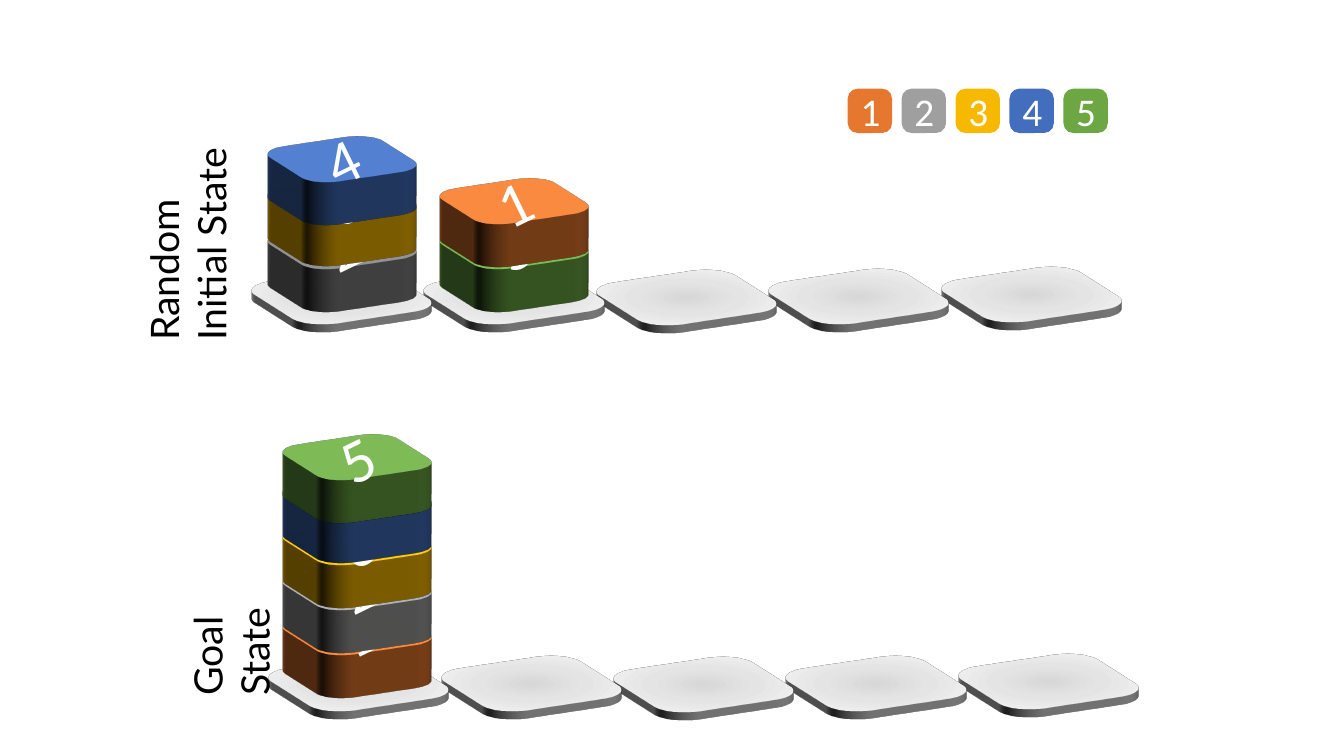
"""Build a slide showing the initial and goal states of a block-stacking puzzle."""
import dataclasses
import typing

import pptx
import pptx.dml.color
import pptx.enum.shapes
import pptx.enum.text
import pptx.oxml
import pptx.oxml.ns
import pptx.util


@dataclasses.dataclass(frozen=True)
class Theme:
    orange: str = "E5782E"
    silver: str = "9F9F9F"
    gray: str = "808080"
    yellow: str = "F7B900"
    blue: str = "426EBD"
    green: str = "6CA744"
    digit: str = "FFFFFF"
    label: str = "000000"
    tile_stops: tuple[str, ...] = ("D8D8D8", "E5E5E5", "F2F2F2")
    digit_font: str = "Calibri"
    label_font: str = "Lato"
    block_size: int = 44
    text_size: int = 28
    block_depth: int = 32
    tile_depth: int = 6


@dataclasses.dataclass(frozen=True)
class Block:
    digit: str
    color: str
    column: float
    row: float


@dataclasses.dataclass(frozen=True)
class Label:
    text: str
    column: float
    row: float
    columns: float
    rows: float


THEME = Theme()
GRID = pptx.util.Inches(0.1)
COLUMNS, ROWS = 133.33, 75
CORNER = 0.223
TILE_SIDE, TILE_STEP = 15, 17.1
TILE_DROPS = (0, 0, 0.1, 0, -0.2)
BLOCK_SIDE = 12.4
KEY_SIDE, KEY_STEP, KEY_COLUMN, KEY_ROW = 4.4, 5.35, 84.1, 8.8

KEY_COLORS = (THEME.orange, THEME.silver, THEME.yellow, THEME.blue, THEME.green)
KEY_BLOCKS = [
    Block(str(index + 1), color, KEY_COLUMN + index * KEY_STEP, KEY_ROW)
    for index, color in enumerate(KEY_COLORS)
]
INITIAL_BLOCKS = [
    Block("2", THEME.gray, 27.7, 18.2),
    Block("5", THEME.green, 44.8, 18.2),
    Block("3", THEME.yellow, 27.7, 13.7),
    Block("1", THEME.orange, 44.8, 13.8),
    Block("4", THEME.blue, 27.7, 9.6),
]
GOAL_ROWS = (56.5, 52.1, 47.6, 43.1, 39.2)
GOAL_BLOCKS = [
    Block(key.digit, key.color, 29.2, row) for key, row in zip(KEY_BLOCKS, GOAL_ROWS)
]
LABELS = [
    Label("Random\nInitial State", 7.6, 18.6, 22, 10.4),
    Label("Goal\vState", 10.9, 57.5, 19.3, 5.7),
]


def cells(count: float) -> int:
    return round(count * GRID)


def apply_format(target: typing.Any, values: dict[str, typing.Any]) -> None:
    for name, value in values.items():
        setattr(target, name, value)


def format_font(font: typing.Any, name: str, size: int, color: str) -> None:
    apply_format(font, {"name": name, "size": pptx.util.Pt(size)})
    font.color.rgb = pptx.dml.color.RGBColor.from_string(color)


def add_square(shapes: typing.Any, column: float, row: float, side: float) -> typing.Any:
    shape = shapes.add_shape(
        pptx.enum.shapes.MSO_SHAPE.ROUNDED_RECTANGLE,
        cells(column), cells(row), cells(side), cells(side),
    )
    shape.adjustments[0] = CORNER
    shape.line.fill.background()
    shape.shadow.inherit = False
    return shape


def extrude(shape: typing.Any, depth: int) -> None:
    namespace = pptx.oxml.ns.nsdecls("a")
    properties = shape._element.spPr
    properties.append(pptx.oxml.parse_xml(
        f'<a:scene3d {namespace}><a:camera prst="isometricOffAxis1Top"/>'
        '<a:lightRig rig="threePt" dir="t"/></a:scene3d>'
    ))
    properties.append(pptx.oxml.parse_xml(
        f'<a:sp3d {namespace} extrusionH="{pptx.util.Pt(depth)}"/>'
    ))


def add_tile(shapes: typing.Any, column: float, row: float) -> None:
    shape = add_square(shapes, column, row, TILE_SIDE)
    stops = "".join(
        f'<a:gs pos="{index * 50000}"><a:srgbClr val="{color}"/></a:gs>'
        for index, color in enumerate(THEME.tile_stops)
    )
    gradient = pptx.oxml.parse_xml(
        f'<a:gradFill {pptx.oxml.ns.nsdecls("a")} rotWithShape="1"><a:gsLst>{stops}</a:gsLst>'
        '<a:path path="circle"><a:fillToRect l="50000" t="50000" r="50000" b="50000"/>'
        "</a:path></a:gradFill>"
    )
    shape._element.spPr.find(pptx.oxml.ns.qn("a:prstGeom")).addnext(gradient)
    extrude(shape, THEME.tile_depth)


def add_tile_row(shapes: typing.Any, column: float, row: float) -> None:
    for index, drop in reversed(list(enumerate(TILE_DROPS))):
        add_tile(shapes, column + index * TILE_STEP, row + drop)


def add_block(shapes: typing.Any, block: Block, side: float, size: int) -> typing.Any:
    shape = add_square(shapes, block.column, block.row, side)
    shape.fill.solid()
    shape.fill.fore_color.rgb = pptx.dml.color.RGBColor.from_string(block.color)
    shape.text_frame.text = block.digit
    shape.text_frame.vertical_anchor = pptx.enum.text.MSO_ANCHOR.MIDDLE
    paragraph = shape.text_frame.paragraphs[0]
    paragraph.alignment = pptx.enum.text.PP_ALIGN.CENTER
    format_font(paragraph.runs[0].font, THEME.digit_font, size, THEME.digit)
    return shape


def add_stack(shapes: typing.Any, blocks: list[Block]) -> None:
    for block in blocks:
        extrude(add_block(shapes, block, BLOCK_SIDE, THEME.block_size), THEME.block_depth)


def add_label(shapes: typing.Any, label: Label) -> None:
    shape = shapes.add_textbox(
        cells(label.column), cells(label.row), cells(label.columns), cells(label.rows)
    )
    shape.rotation = 270
    apply_format(shape.text_frame, {"text": label.text, "word_wrap": True})
    for paragraph in shape.text_frame.paragraphs:
        for run in paragraph.runs:
            format_font(run.font, THEME.label_font, THEME.text_size, THEME.label)


def main() -> None:
    presentation = pptx.Presentation()
    apply_format(presentation, {"slide_width": cells(COLUMNS), "slide_height": cells(ROWS)})
    slide = presentation.slides.add_slide(presentation.slide_layouts[6])
    add_tile_row(slide.shapes, 26.4, 21.9)
    add_stack(slide.shapes, INITIAL_BLOCKS)
    key_group = slide.shapes.add_group_shape()
    for block in KEY_BLOCKS:
        add_block(key_group.shapes, block, KEY_SIDE, THEME.text_size)
    add_tile_row(slide.shapes, 28.1, 60.3)
    add_stack(slide.shapes.add_group_shape().shapes, GOAL_BLOCKS)
    for label in LABELS:
        add_label(slide.shapes, label)
    presentation.save("out.pptx")


if __name__ == "__main__":
    main()
